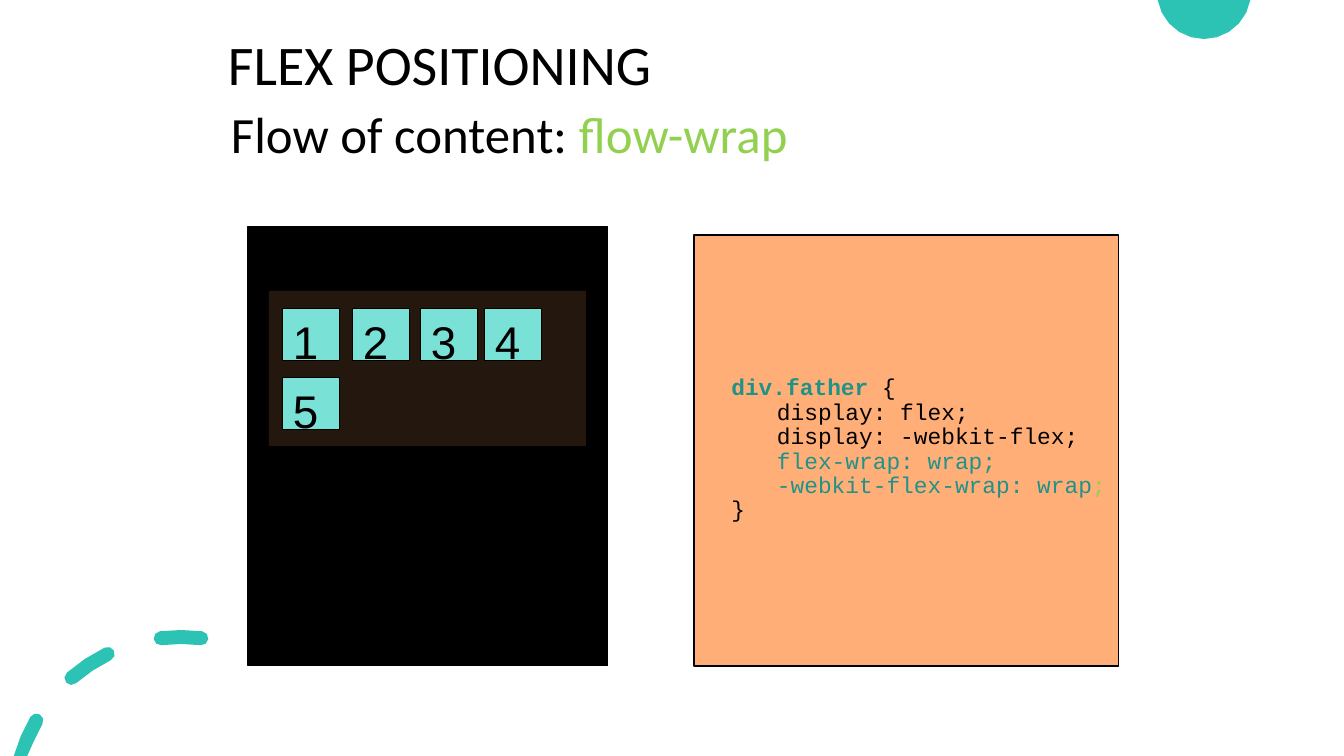
import copy
import math
from dataclasses import dataclass
from typing import Any

import pptx
import pptx.dml.color
import pptx.enum.shapes
import pptx.enum.text
import pptx.oxml
import pptx.oxml.ns
import pptx.util

SLIDE_WIDTH, SLIDE_HEIGHT = 1344, 756
EMU_PER_PX = 12192000 / SLIDE_WIDTH
TEAL, DARK_TEAL, GREEN, BLACK = "2CC3B4", "219287", "92D050", "000000"

Point = tuple[float, float]


@dataclass
class Box:
    left: int
    top: int
    width: int
    height: int


@dataclass
class Panel:
    box: Box
    fill: str
    outlined: bool = True


@dataclass
class Run:
    text: str
    color: str = BLACK
    bold: bool = False


@dataclass
class Dash:
    start_degrees: int
    end_degrees: int


PANELS = [
    Panel(Box(248, 227, 360, 439), BLACK),
    Panel(Box(254, 263, 346, 403), BLACK),
    Panel(Box(269, 291, 317, 155), "24180E", outlined=False),
]
CODE_PANEL = Panel(Box(694, 235, 425, 431), "FFAE78")
ITEM_POSITIONS = [(283, 309), (353, 309), (421, 309), (485, 309), (283, 378)]
CODE_LINES = [
    [Run("  "), Run("div.father ", DARK_TEAL, bold=True), Run("{")],
    [Run("\tdisplay: flex;")],
    [Run("\tdisplay: -webkit-flex;")],
    [Run("\tflex-wrap: wrap;", DARK_TEAL)],
    [Run("\t-webkit-flex-wrap: wrap", DARK_TEAL), Run(";", GREEN)],
    [Run("  }")],
]
DASHES = [Dash(83, 97), Dash(116, 131), Dash(150, 164)]
RING_CENTER, RING_RADIUS, DASH_HALF_WIDTH = (181, 804), 167, 7


def px(length: float) -> pptx.util.Emu:
    return pptx.util.Emu(round(length * EMU_PER_PX))


def color(value: str) -> pptx.dml.color.RGBColor:
    return pptx.dml.color.RGBColor.from_string(value)


def place(box: Box) -> list[pptx.util.Emu]:
    return [px(box.left), px(box.top), px(box.width), px(box.height)]


def set_attributes(target: Any, values: dict[str, Any]) -> None:
    for name, value in values.items():
        setattr(target, name, value)


def paint(shape: Any, fill: str, outlined: bool) -> None:
    shape.shadow.inherit = False
    shape.fill.solid()
    shape.fill.fore_color.rgb = color(fill)
    if outlined:
        shape.line.color.rgb = color(BLACK)
        shape.line.width = pptx.util.Pt(0.75)
    else:
        shape.line.fill.background()


def add_panel(slide: Any, panel: Panel) -> Any:
    shape = slide.shapes.add_shape(pptx.enum.shapes.MSO_SHAPE.RECTANGLE, *place(panel.box))
    paint(shape, panel.fill, panel.outlined)
    return shape


def write_runs(paragraph: Any, runs: list[Run], font_name: str, size: float) -> None:
    paragraph.alignment = pptx.enum.text.PP_ALIGN.LEFT
    for piece in runs:
        run = paragraph.add_run()
        run.text = piece.text
        set_attributes(run.font, {"name": font_name, "size": pptx.util.Pt(size), "bold": piece.bold})
        run.font.color.rgb = color(piece.color)


def add_heading(slide: Any, box: Box, runs: list[Run], size: float, wrap: bool) -> None:
    frame = slide.shapes.add_textbox(*place(box)).text_frame
    set_attributes(frame, {
        "word_wrap": wrap,
        "auto_size": pptx.enum.text.MSO_AUTO_SIZE.SHAPE_TO_FIT_TEXT,
    })
    write_runs(frame.paragraphs[0], runs, "Calibri", size)


def add_item(slide: Any, number: int, left: int, top: int) -> None:
    shape = add_panel(slide, Panel(Box(left, top, 57, 52), "7AE1D7"))
    shape.text_frame.vertical_anchor = pptx.enum.text.MSO_ANCHOR.TOP
    write_runs(shape.text_frame.paragraphs[0], [Run(str(number))], "Arial", 32.7)


def add_tab_stop(paragraph: Any, position: int) -> None:
    namespace = pptx.oxml.ns.nsdecls("a")
    tabs = f'<a:tabLst {namespace}><a:tab pos="{px(position)}" algn="l"/></a:tabLst>'
    paragraph._p.get_or_add_pPr().append(pptx.oxml.parse_xml(tabs))


def format_line_breaks(paragraph: Any) -> None:
    """Give line breaks the font of the first run, so they keep its line height."""
    properties = paragraph.runs[0]._r.rPr
    for line_break in paragraph._p.findall(pptx.oxml.ns.qn("a:br")):
        line_break.append(copy.deepcopy(properties))


def add_code(slide: Any) -> None:
    frame = add_panel(slide, CODE_PANEL).text_frame
    set_attributes(frame, {
        "word_wrap": True,
        "vertical_anchor": pptx.enum.text.MSO_ANCHOR.MIDDLE,
        "margin_top": px(3),
        "margin_bottom": px(5),
    })
    paragraph = frame.paragraphs[0]
    add_tab_stop(paragraph, 73)
    paragraph.line_spacing = 0.89
    for index, runs in enumerate(CODE_LINES):
        if index:
            paragraph.add_line_break()
        write_runs(paragraph, runs, "Courier New", 16.3)
    format_line_breaks(paragraph)


def arc(center: Point, radius: float, start: float, end: float, steps: int) -> list[Point]:
    """Sample an arc, in degrees counterclockwise from the right."""
    angles = [math.radians(start + (end - start) * step / steps) for step in range(steps + 1)]
    return [(center[0] + radius * math.cos(a), center[1] - radius * math.sin(a)) for a in angles]


def dash_outline(dash: Dash) -> list[Point]:
    """Outline a round-ended band along the ring."""
    start, end = dash.start_degrees, dash.end_degrees
    start_center, end_center = arc(RING_CENTER, RING_RADIUS, start, end, 1)
    middle = [(start + end) / 2]
    outer, inner = (
        arc(RING_CENTER, RING_RADIUS + offset, middle[0], middle[0], 1)[0]
        for offset in (DASH_HALF_WIDTH, -DASH_HALF_WIDTH)
    )
    return [
        outer,
        *arc(end_center, DASH_HALF_WIDTH, end, end + 180, 4),
        inner,
        *arc(start_center, DASH_HALF_WIDTH, start + 180, start + 360, 4),
    ]


def add_outlines(slide: Any, outlines: list[list[Point]]) -> None:
    """Draw closed outlines as one shape, cut at the slide's top and bottom."""
    builder = None
    for outline in outlines:
        points = [(px(x), px(min(max(y, 0), SLIDE_HEIGHT))) for x, y in outline]
        if builder is None:
            builder = slide.shapes.build_freeform(*points[0])
        else:
            builder.move_to(*points[0])
        builder.add_line_segments(points[1:], close=True)
    paint(builder.convert_to_shape(), TEAL, outlined=False)


def main() -> None:
    presentation = pptx.Presentation()
    presentation.slide_width = px(SLIDE_WIDTH)
    presentation.slide_height = px(SLIDE_HEIGHT)
    slide = presentation.slides.add_slide(presentation.slide_layouts[6])

    add_outlines(slide, [arc((1204, -8), 47, 190, 350, 10)])
    add_outlines(slide, [dash_outline(dash) for dash in DASHES])
    add_heading(slide, Box(218, 25, 463, 78), [Run("FLEX POSITIONING")], 39.9, wrap=False)
    add_code(slide)
    subtitle = [Run("Flow of content: "), Run("flow-wrap", GREEN)]
    add_heading(slide, Box(221, 98, 904, 72), subtitle, 36.3, wrap=True)
    for panel in PANELS:
        add_panel(slide, panel)
    for number, (left, top) in enumerate(ITEM_POSITIONS, start=1):
        add_item(slide, number, left, top)

    presentation.save("out.pptx")


if __name__ == "__main__":
    main()
